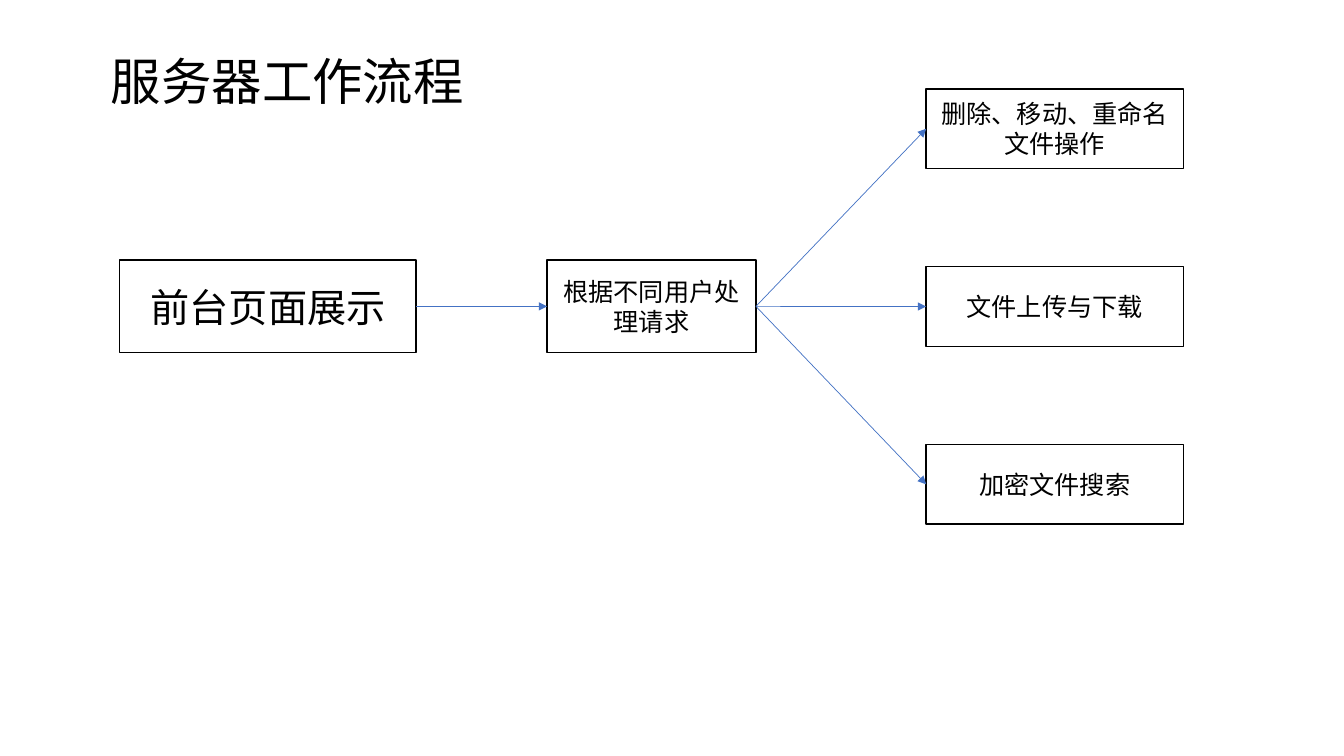
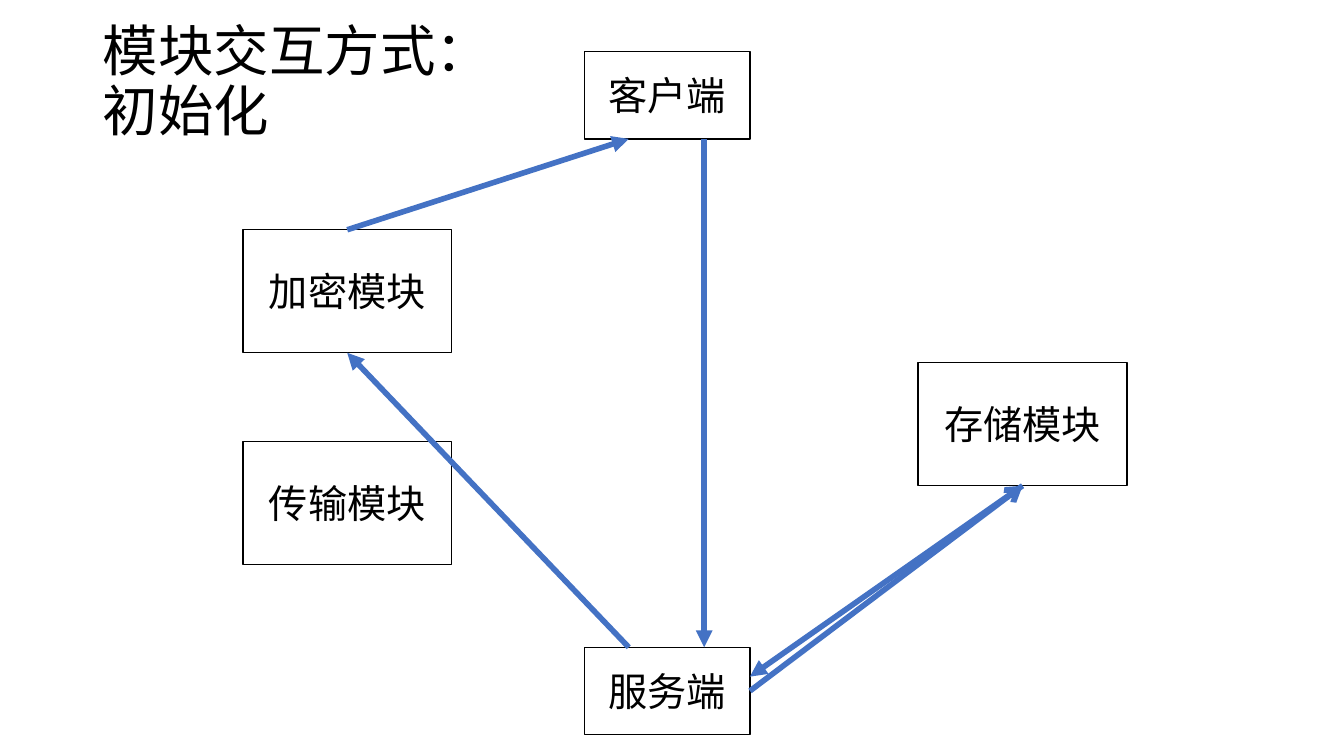
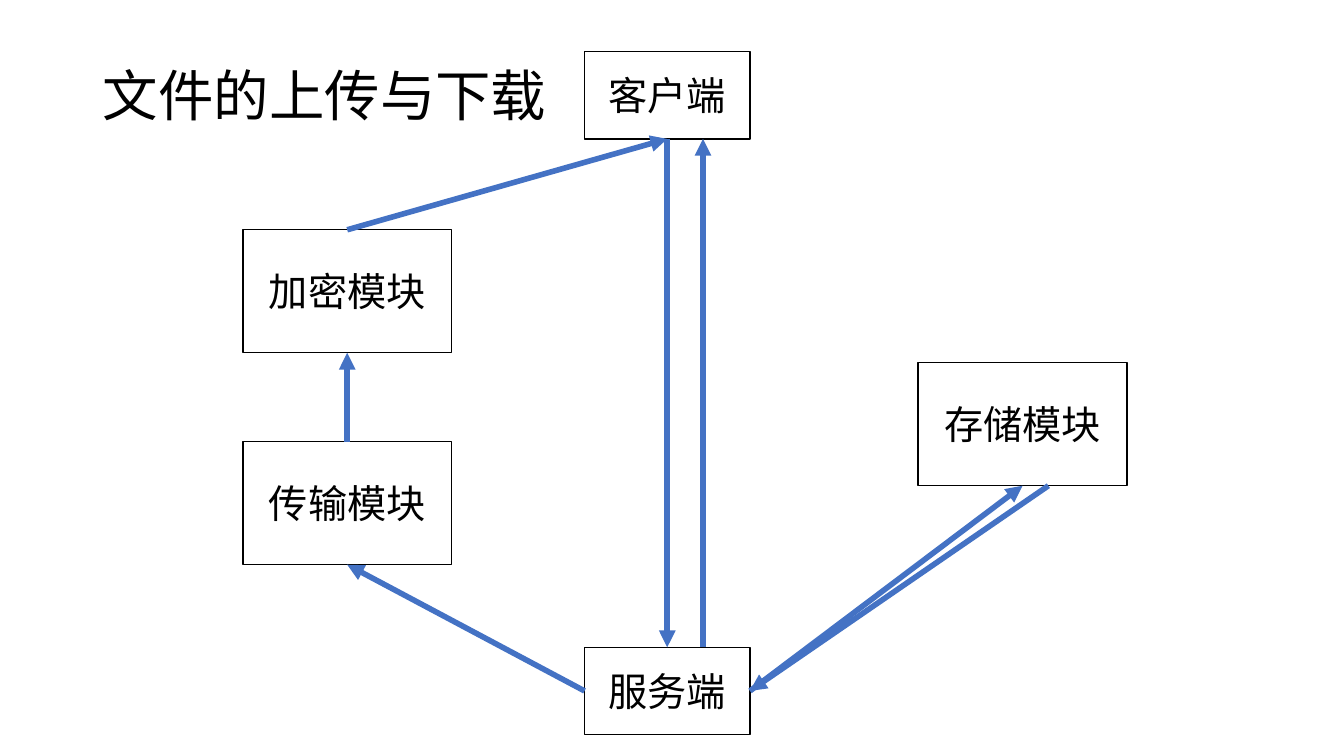
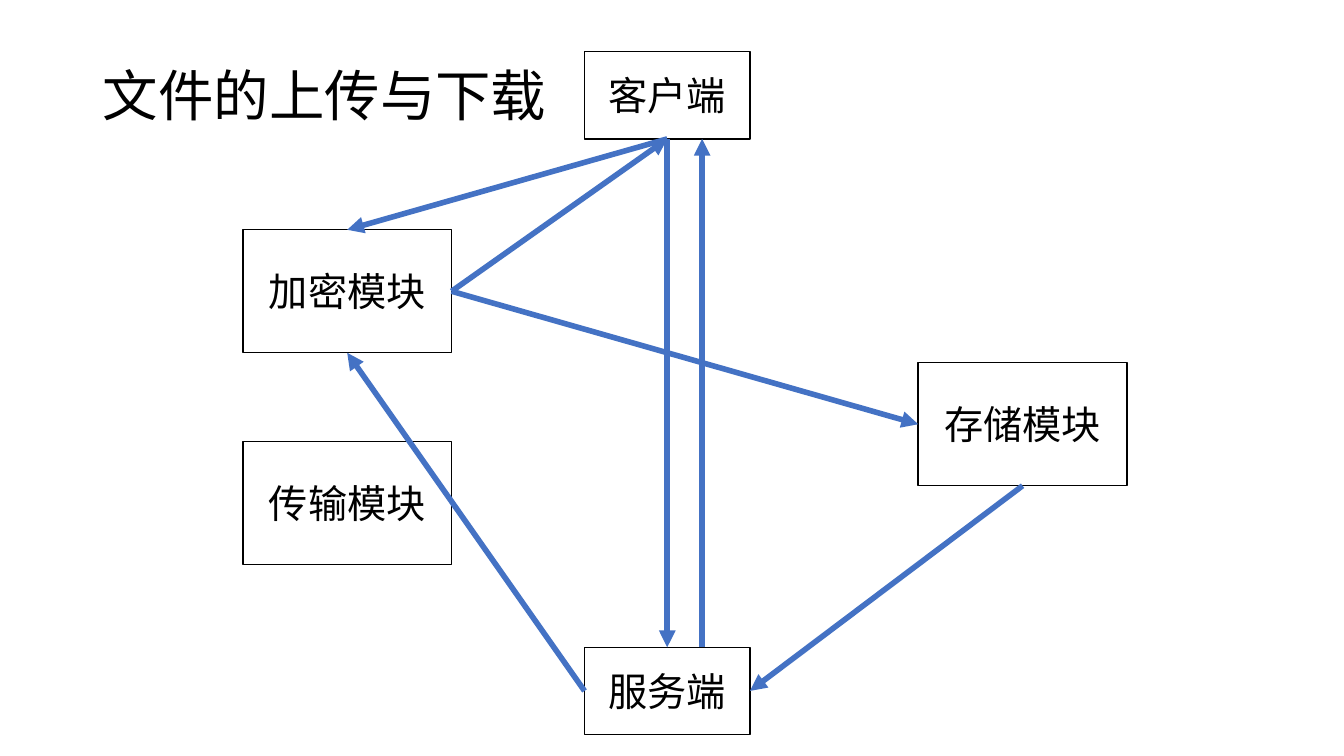
from dataclasses import dataclass
from typing import Optional

from lxml import etree
from pptx import Presentation
from pptx import util as u
from pptx.dml.color import RGBColor
from pptx.enum import shapes, text
from pptx.oxml.ns import qn
from pptx.util import Cm, Pt

# Shared style
FONT = "Noto Sans CJK SC"
BLACK = RGBColor(0x00, 0x00, 0x00)
WHITE = RGBColor(0xFF, 0xFF, 0xFF)
BLUE = RGBColor(0x44, 0x72, 0xC4)
TITLE_ONLY = 5

# Connection sites of a rectangle
TOP, LEFT, BOTTOM, RIGHT = range(4)


@dataclass(frozen=True)
class Box:
    label: str
    x: float
    y: float
    w: float
    h: float
    size: float = 28

    def site(self, side: int, shift: float = 0) -> tuple[u.Length, u.Length]:
        """Middle of a side, moved along that side by shift (cm)."""
        if side in (TOP, BOTTOM):
            return Cm(self.x + self.w / 2 + shift), Cm(self.y + self.h * (side == BOTTOM))
        return Cm(self.x + self.w * (side == RIGHT)), Cm(self.y + self.h / 2 + shift)


@dataclass(frozen=True)
class Arrow:
    start: str
    start_side: int
    end: str
    end_side: int
    start_shift: float = 0
    end_shift: float = 0
    head: str = "triangle"


@dataclass(frozen=True)
class Title:
    label: str
    x: float
    y: float
    w: float
    h: float
    size: float = 39.6
    spacing: float = 0.9
    anchor: text.MSO_ANCHOR = text.MSO_ANCHOR.MIDDLE
    bottom: float = 1.63


@dataclass(frozen=True)
class Page:
    title: Title
    boxes: list[Box]
    arrows: list[Arrow]
    weight: float = 4


def style_paragraph(p, size: float, align: text.PP_ALIGN) -> None:
    p.alignment = align
    p.font.size = Pt(size)
    p.font.color.rgb = BLACK
    p.font.name = FONT
    latin = p._p.pPr.find(qn("a:defRPr")).find(qn("a:latin"))
    ea = etree.Element(qn("a:ea"), typeface=FONT)
    latin.addnext(ea)


def add_title(s, title: Title) -> None:
    sp = s.shapes.title
    sp.left, sp.top, sp.width, sp.height = map(Cm, (title.x, title.y, title.w, title.h))
    tf = sp.text_frame
    tf.text = title.label
    tf.word_wrap = True
    tf.auto_size = text.MSO_AUTO_SIZE.NONE
    tf.vertical_anchor = title.anchor
    tf.margin_bottom = Cm(title.bottom)
    p = tf.paragraphs[0]
    p.line_spacing = title.spacing
    style_paragraph(p, title.size, text.PP_ALIGN.LEFT)


def add_box(s, box: Box):
    sp = s.shapes.add_shape(shapes.MSO_SHAPE.RECTANGLE,
                            *map(Cm, (box.x, box.y, box.w, box.h)))
    sp.shadow.inherit = False
    sp.fill.solid()
    sp.fill.fore_color.rgb = WHITE
    sp.line.color.rgb = BLACK
    sp.line.width = Pt(1)
    tf = sp.text_frame
    tf.text = box.label
    tf.word_wrap = True
    tf.vertical_anchor = text.MSO_ANCHOR.MIDDLE
    style_paragraph(tf.paragraphs[0], box.size, text.PP_ALIGN.CENTER)
    return sp


def add_arrow(s, arrow: Arrow, boxes: dict[str, Box], drawn: dict, weight: float) -> None:
    start = boxes[arrow.start].site(arrow.start_side, arrow.start_shift)
    end = boxes[arrow.end].site(arrow.end_side, arrow.end_shift)
    cxn = s.shapes.add_connector(shapes.MSO_CONNECTOR.STRAIGHT, *start, *end)
    if not arrow.start_shift:
        cxn.begin_connect(drawn[arrow.start], arrow.start_side)
    if not arrow.end_shift:
        cxn.end_connect(drawn[arrow.end], arrow.end_side)
    cxn.line.color.rgb = BLUE
    cxn.line.width = Pt(weight)
    etree.SubElement(cxn.line._get_or_add_ln(), qn("a:tailEnd"), type=arrow.head)
    etree.SubElement(cxn._element.spPr, qn("a:effectLst"))


def add_page(prs, page: Page) -> None:
    s = prs.slides.add_slide(prs.slide_layouts[TITLE_ONLY])
    add_title(s, page.title)
    boxes: dict[str, Box] = {box.label: box for box in page.boxes}
    drawn = {box.label: add_box(s, box) for box in page.boxes}
    for arrow in page.arrows:
        add_arrow(s, arrow, boxes, drawn, page.weight)


# Server workflow
FRONT, PROCESS = "前台页面展示", "根据不同用户处理请求"
ACTIONS = ["删除、移动、重命名文件操作", "文件上传与下载", "加密文件搜索"]

workflow = Page(
    Title("服务器工作流程", 2.54, 1.14, 22.43, 1.8, size=36, spacing=1.0,
          anchor=text.MSO_ANCHOR.TOP, bottom=0.13),
    [Box(FRONT, 3.02, 6.55, 7.47, 2.34),
     Box(PROCESS, 13.79, 6.55, 5.26, 2.34, size=18),
     *(Box(action, 23.34, 2.24 + i * 4.48, 6.48, 2.01, size=18)
       for i, action in enumerate(ACTIONS))],
    [Arrow(FRONT, RIGHT, PROCESS, LEFT),
     *(Arrow(PROCESS, RIGHT, action, LEFT) for action in ACTIONS)],
    weight=0.5,
)

# Modules shared by the interaction slides
CRYPTO, TRANSFER, STORE = "加密模块", "传输模块", "存储模块"
SERVER, CLIENT = "服务端", "客户端"
MODULES = [
    *(Box(label, x, y, 5.26, 3.1)
      for label, x, y in ((CRYPTO, 6.12, 5.79), (TRANSFER, 6.12, 11.13), (STORE, 23.14, 9.14))),
    *(Box(label, 14.73, y, 4.17, 2.2) for label, y in ((SERVER, 16.31), (CLIENT, 1.3))),
]
FILES_TITLE = Title("文件的上传与下载", 2.34, 1.02, 12.12, 4.42)

# Initialisation
startup = Page(
    Title("模块交互方式：\v初始化", 2.34, 1.02, 29.21, 3.68),
    MODULES,
    [Arrow(SERVER, RIGHT, STORE, BOTTOM, head="arrow"),
     Arrow(CLIENT, BOTTOM, SERVER, TOP, 0.93, 0.93),
     Arrow(STORE, BOTTOM, SERVER, RIGHT, end_shift=-0.36),
     Arrow(SERVER, TOP, CRYPTO, BOTTOM, start_shift=-0.97),
     Arrow(CRYPTO, TOP, CLIENT, BOTTOM, end_shift=-0.97)],
)

# Files by way of the transfer module
by_transfer = Page(
    FILES_TITLE,
    MODULES,
    [Arrow(SERVER, RIGHT, STORE, BOTTOM),
     Arrow(CLIENT, BOTTOM, SERVER, TOP),
     Arrow(STORE, BOTTOM, SERVER, RIGHT, start_shift=0.65),
     Arrow(SERVER, TOP, CLIENT, BOTTOM, 0.9, 0.9),
     Arrow(SERVER, LEFT, TRANSFER, BOTTOM),
     Arrow(TRANSFER, TOP, CRYPTO, BOTTOM),
     Arrow(CRYPTO, TOP, CLIENT, BOTTOM)],
)

# Files by way of the encryption module
by_crypto = Page(
    FILES_TITLE,
    MODULES,
    [Arrow(CLIENT, BOTTOM, CRYPTO, TOP),
     Arrow(CRYPTO, RIGHT, CLIENT, BOTTOM),
     Arrow(CLIENT, BOTTOM, SERVER, TOP),
     Arrow(SERVER, LEFT, CRYPTO, BOTTOM),
     Arrow(CRYPTO, RIGHT, STORE, LEFT),
     Arrow(STORE, BOTTOM, SERVER, RIGHT),
     Arrow(SERVER, TOP, CLIENT, BOTTOM, 0.88, 0.88)],
)


def main() -> None:
    prs = Presentation()
    prs.slide_width, prs.slide_height = Cm(33.87), Cm(19.05)
    for page in (workflow, startup, by_transfer, by_crypto):
        add_page(prs, page)
    prs.save("out.pptx")


if __name__ == "__main__":
    main()
